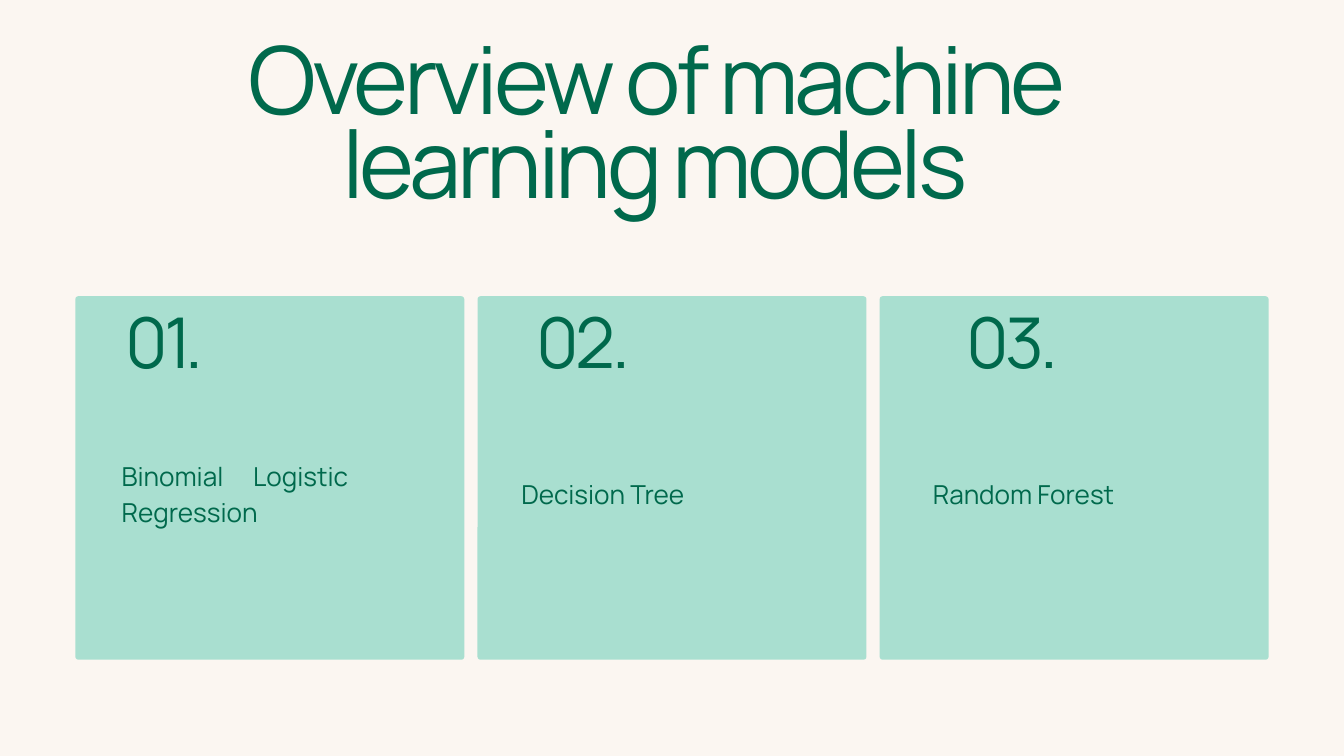
from dataclasses import dataclass

from pptx import Presentation
from pptx.dml.color import RGBColor
from pptx.enum.shapes import MSO_SHAPE as Shape
from pptx.enum.text import MSO_AUTO_SIZE as AutoSize, PP_ALIGN as Align
from pptx.slide import Slide
from pptx.util import Cm, Pt

CREAM, MINT, GREEN = "FBF6F1", "A9DFD0", "00694C"
CARD_LEFT, CARD_TOP, CARD_WIDTH, CARD_HEIGHT = 2.85, 11.2, 14.7, 13.74
CARD_GAP = 0.5
CORNER_RADIUS = 0.11


@dataclass(frozen=True)
class TextStyle:
    size: float
    line_spacing: float
    align: Align
    tracking: float = 0


@dataclass(frozen=True)
class Box:
    left: float
    top: float
    width: float
    height: float


@dataclass(frozen=True)
class ModelCard:
    number: str
    number_left: float
    name: str
    name_box: Box


TITLE = TextStyle(100.4, 90.4, Align.CENTER, -4.6)
NUMBER = TextStyle(75, 67.5, Align.CENTER, -3.5)
NAME = TextStyle(28, 39.2, Align.JUSTIFY)

CARDS = [
    ModelCard("01.", 2.85, "Binomial Logistic Regression", Box(4.6, 17.2, 8.56, 2.74)),
    ModelCard("02.", 18.67, "Decision Tree", Box(19.71, 17.88, 11.38, 1.37)),
    ModelCard("03.", 34.9, "Random Forest", Box(35.26, 17.88, 11.38, 1.37)),
]


def set_fill(fill, colour: str) -> None:
    fill.solid()
    fill.fore_color.rgb = RGBColor.from_string(colour)


def set_format(target, values: dict) -> None:
    for name, value in values.items():
        setattr(target, name, value)


def lengths(box: Box) -> list[Cm]:
    return [Cm(value) for value in (box.left, box.top, box.width, box.height)]


def add_panel(slide: Slide, box: Box) -> None:
    shape = slide.shapes.add_shape(Shape.ROUNDED_RECTANGLE, *lengths(box))
    shape.adjustments[0] = CORNER_RADIUS / min(box.width, box.height)
    shape.shadow.inherit = False
    shape.line.fill.background()
    set_fill(shape.fill, MINT)


def add_text(slide: Slide, text: str, box: Box, style: TextStyle) -> None:
    frame = slide.shapes.add_textbox(*lengths(box)).text_frame
    set_format(frame, {
        "margin_left": 0, "margin_top": 0, "margin_right": 0, "margin_bottom": 0,
        "word_wrap": True, "auto_size": AutoSize.SHAPE_TO_FIT_TEXT,
    })
    paragraph = frame.paragraphs[0]
    set_format(paragraph, {
        "alignment": style.align, "line_spacing": Pt(style.line_spacing),
    })
    run = paragraph.add_run()
    run.text = text
    set_format(run.font, {"name": "Manrope", "size": Pt(style.size)})
    set_fill(run.font.fill, GREEN)
    if style.tracking:
        run._r.get_or_add_rPr().set("spc", str(round(style.tracking * 100)))


def add_card(slide: Slide, index: int, card: ModelCard) -> None:
    left = CARD_LEFT + index * (CARD_WIDTH + CARD_GAP)
    add_panel(slide, Box(left, CARD_TOP, CARD_WIDTH, CARD_HEIGHT))
    add_text(slide, card.number, Box(card.number_left, 12.07, 6.73, 2.62), NUMBER)
    add_text(slide, card.name, card.name_box, NAME)


def main() -> None:
    presentation = Presentation()
    set_format(presentation, {"slide_width": Cm(50.8), "slide_height": Cm(28.58)})
    slide = presentation.slides.add_slide(presentation.slide_layouts[6])
    set_fill(slide.background.fill, CREAM)
    add_text(slide, "Overview of machine learning models",
             Box(5.51, 1.85, 38.48, 6.65), TITLE)
    for index, card in enumerate(CARDS):
        add_card(slide, index, card)
    presentation.save("out.pptx")


if __name__ == "__main__":
    main()
